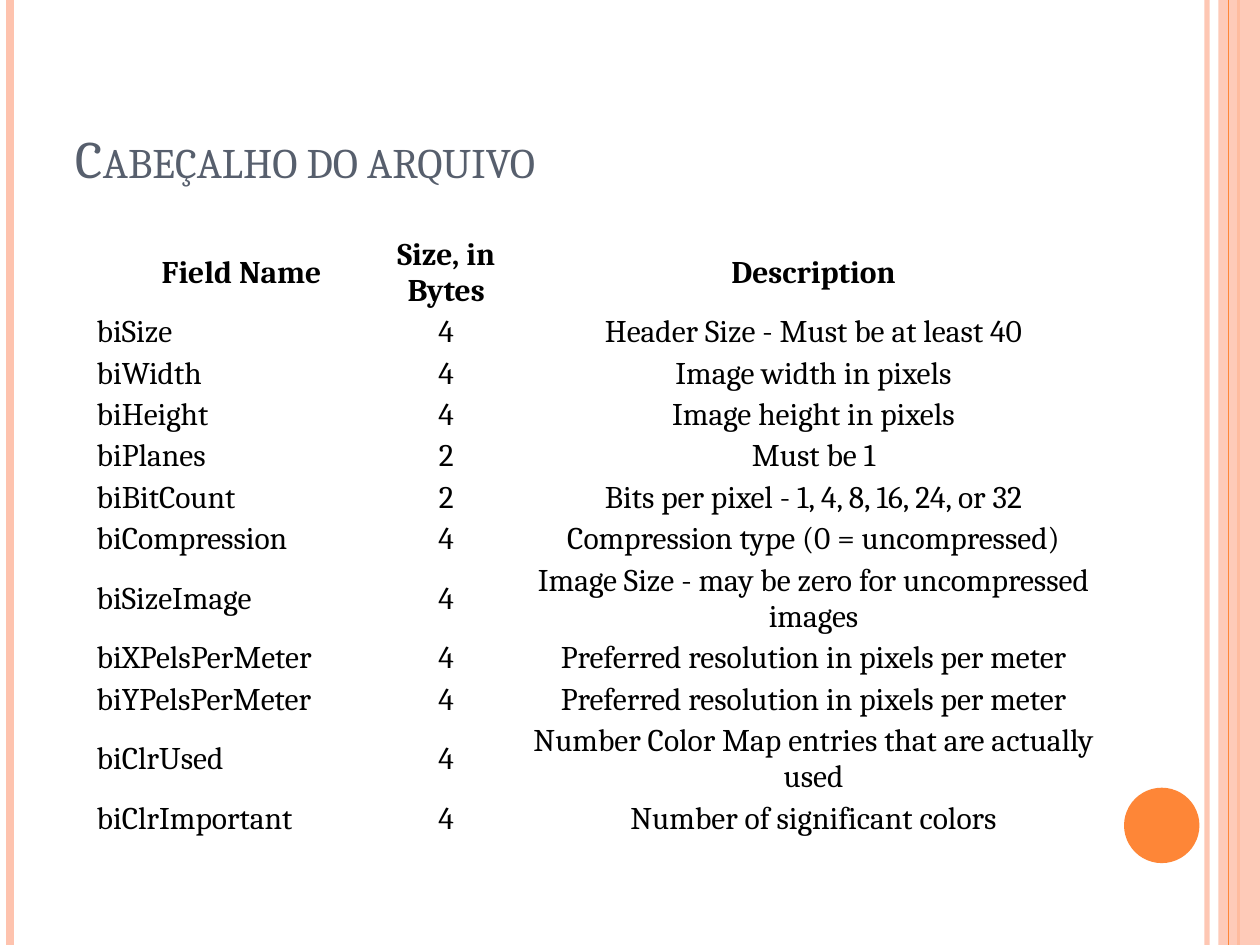
from lxml import etree
from pptx import Presentation
from pptx.dml.color import RGBColor
from pptx.enum.shapes import MSO_CONNECTOR, MSO_SHAPE
from pptx.enum.text import MSO_ANCHOR, PP_ALIGN
from pptx.oxml.ns import qn
from pptx.util import Cm, Pt

COLORS = {"peach": "FEC3AE", "orange": "FE8637", "title": "575F6D",
          "text": "000000", "border": "FFFFFF"}
FONT = "Cambria"
SLIDE_HEIGHT = Cm(19.05)

prs = Presentation()
prs.slide_width, prs.slide_height = Cm(25.4), SLIDE_HEIGHT
slide = prs.slides.add_slide(prs.slide_layouts[5])
shapes = slide.shapes


def rgb(name):
    return RGBColor.from_string(COLORS[name])


def set_alpha(shape, percent):
    color = next(shape._element.spPr.iter(qn("a:srgbClr")))
    etree.SubElement(color, qn("a:alpha")).set("val", str(percent * 1000))


# Side stripes, back to front: kind, x, width (cm or pt), colour, opacity
stripes = [("line", 24.33, 3, "peach", 93), ("line", 0.2, 4.5, "peach", 100),
           ("line", 24.97, 1.5, "orange", 100), ("band", 24.56, 0.84, "peach", 87),
           ("line", 24.77, 0.75, "orange", 100)]
for kind, x, width, color, opacity in stripes:
    if kind == "line":
        stripe = shapes.add_connector(MSO_CONNECTOR.STRAIGHT, Cm(x), 0, Cm(x), SLIDE_HEIGHT)
        stripe.line.color.rgb = rgb(color)
        stripe.line.width = Pt(width)
        etree.SubElement(stripe._element.spPr, qn("a:effectLst"))
    else:
        stripe = shapes.add_shape(MSO_SHAPE.RECTANGLE, Cm(x), 0, Cm(width), SLIDE_HEIGHT)
        stripe.shadow.inherit = False
        stripe.fill.solid()
        stripe.fill.fore_color.rgb = rgb(color)
        stripe.line.fill.background()
    if opacity < 100:
        set_alpha(stripe, opacity)

# Corner disc
disc = shapes.add_shape(MSO_SHAPE.OVAL, Cm(22.66), Cm(15.88), Cm(1.52), Cm(1.52))
disc.shadow.inherit = False
disc.fill.solid()
disc.fill.fore_color.rgb = rgb("orange")
disc.line.fill.background()

# Title in small capitals
title = shapes.title
title.left, title.top, title.width, title.height = Cm(1.27), Cm(0.76), Cm(20.75), Cm(3.18)
title.text_frame.text = "Cabeçalho do arquivo"
title.text_frame.vertical_anchor = MSO_ANCHOR.BOTTOM
paragraph = title.text_frame.paragraphs[0]
paragraph.alignment = PP_ALIGN.LEFT
run = paragraph.runs[0]
run.font.name, run.font.size = FONT, Pt(30)
run.font.color.rgb = rgb("title")
run._r.get_or_add_rPr().set("cap", "small")

# Table of header fields
rows = [
    ("Field Name", "Size, in Bytes", "Description"),
    ("biSize", "4", "Header Size - Must be at least 40"),
    ("biWidth", "4", "Image width in pixels"),
    ("biHeight", "4", "Image height in pixels"),
    ("biPlanes", "2", "Must be 1"),
    ("biBitCount", "2", "Bits per pixel - 1, 4, 8, 16, 24, or 32"),
    ("biCompression", "4", "Compression type (0 = uncompressed)"),
    ("biSizeImage", "4", "Image Size - may be zero for uncompressed images"),
    ("biXPelsPerMeter", "4", "Preferred resolution in pixels per meter"),
    ("biYPelsPerMeter", "4", "Preferred resolution in pixels per meter"),
    ("biClrUsed", "4", "Number Color Map entries that are actually used"),
    ("biClrImportant", "4", "Number of significant colors"),
]
row_heights = [1.3] + [0.66] * 6 + [0.69, 0.79, 0.61, 0.61, 0.74]
frame = shapes.add_table(len(rows), 3, Cm(1.9), Cm(4.72), Cm(20.75), Cm(sum(row_heights)))
table = frame.table
table.horz_banding = False
for column, width in zip(table.columns, (5.94, 2.31, 12.5)):
    column.width = Cm(width)
for row, height in zip(table.rows, row_heights):
    row.height = Cm(height)

for r, row in enumerate(rows):
    for c, text in enumerate(row):
        cell = table.cell(r, c)
        cell.text = text
        cell.vertical_anchor = MSO_ANCHOR.MIDDLE
        cell.margin_left = cell.margin_right = cell.margin_top = cell.margin_bottom = Cm(0.05)
        paragraph = cell.text_frame.paragraphs[0]
        paragraph.alignment = PP_ALIGN.LEFT if r and c == 0 else PP_ALIGN.CENTER
        font = paragraph.runs[0].font
        font.name, font.size, font.bold = FONT, Pt(18), r == 0
        font.color.rgb = rgb("text")
        # Borders come before the fill in the cell properties
        properties = cell._tc.get_or_add_tcPr()
        for side in ("lnL", "lnR", "lnT", "lnB"):
            border = etree.SubElement(properties, qn("a:" + side), w=str(Pt(0.75)))
            fill = etree.SubElement(border, qn("a:solidFill"))
            etree.SubElement(fill, qn("a:srgbClr"), val=COLORS["border"])
        cell.fill.background()

prs.save("out.pptx")
